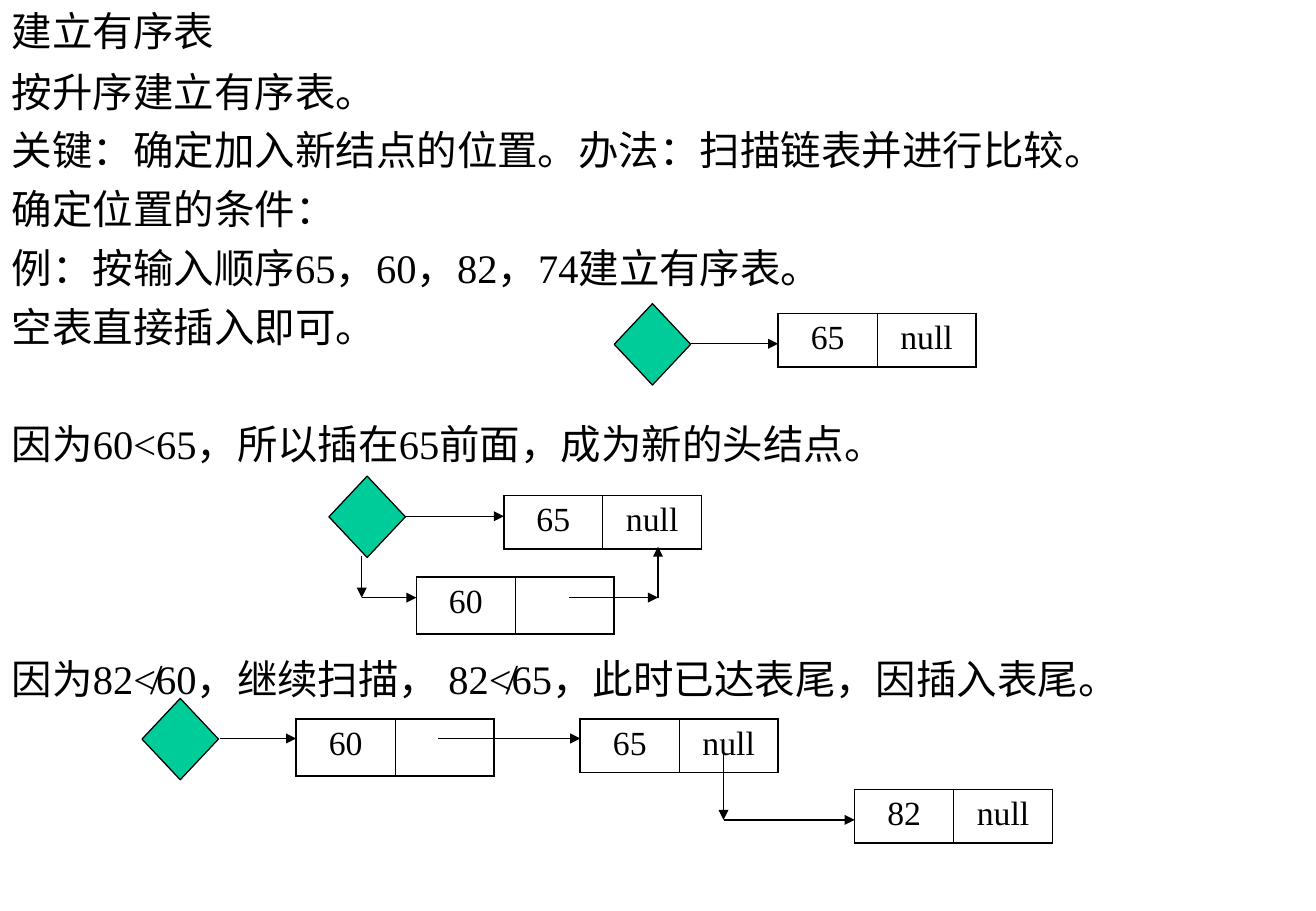
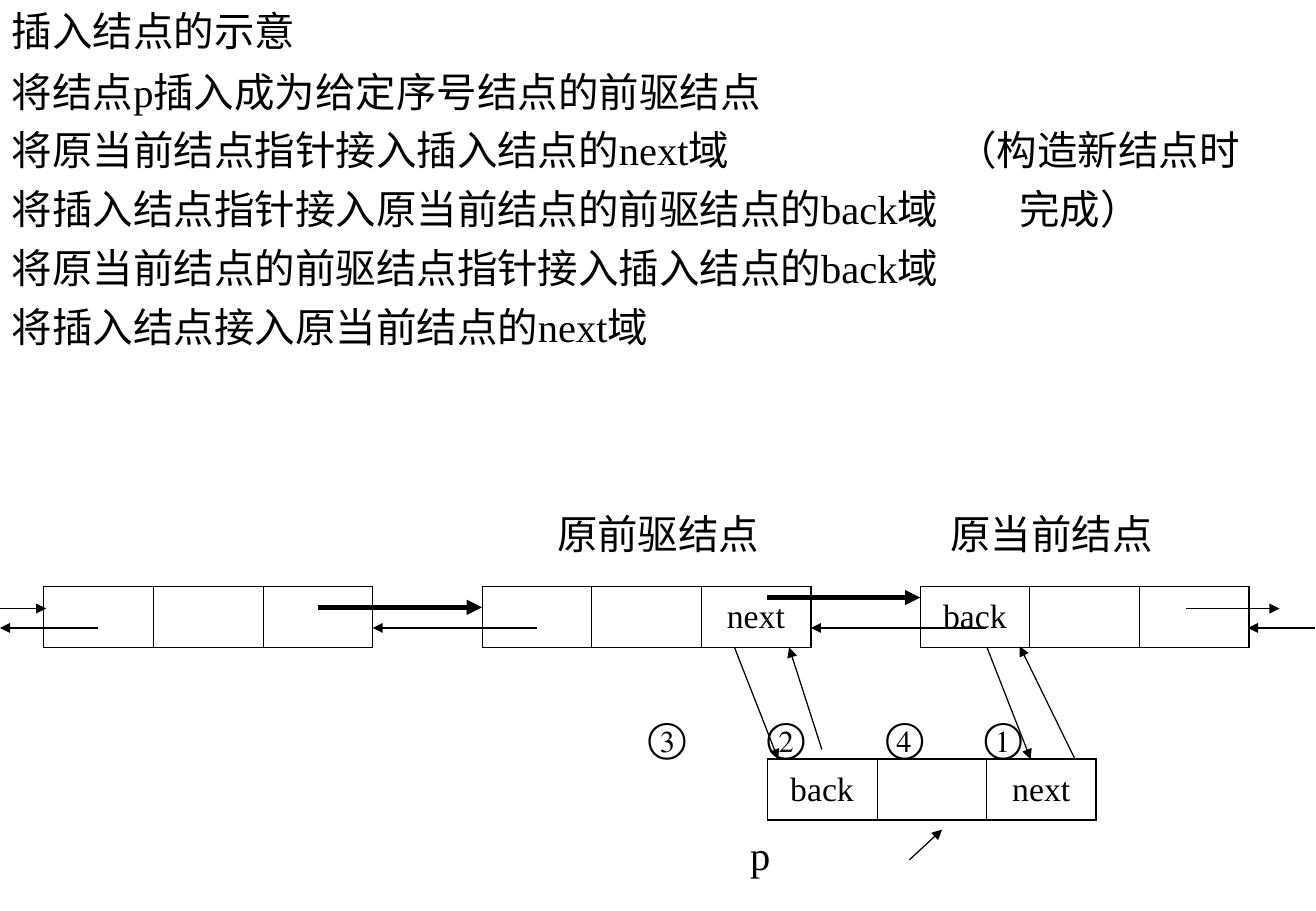
import lxml.etree
import pptx
import pptx.dml.color
import pptx.enum.lang
import pptx.enum.shapes
import pptx.enum.text
import pptx.oxml.ns
import pptx.util

Inches = pptx.util.Inches
Pt = pptx.util.Pt
qn = pptx.oxml.ns.qn
ANCHOR = pptx.enum.text.MSO_ANCHOR


class Theme:
    ink = "000000"
    gem = "00CC99"
    font = "Times New Roman"
    body = 24
    cell = 20
    gap = 6
    thin = 0.75
    thick = 3
    edge = 1.08
    rule = 0.45


PITCH = 34.8 / 72
TOP = 0.5
GEM = (0.63, 0.67)

SORTED = {
    "title": "建立有序表",
    "blocks": [
        (0, 0, ["按升序建立有序表。",
                "关键：确定加入新结点的位置。办法：扫描链表并进行比较。",
                "确定位置的条件：",
                "例：按输入顺序65，60，82，74建立有序表。",
                "空表直接插入即可。"]),
        (0, 6, ["因为60<65，所以插在65前面，成为新的头结点。"]),
        (0, 10, ["因为82≮60，继续扫描， 82≮65，此时已达表尾，因插入表尾。"]),
    ],
    "labels": [],
    "gems": [(5.06, 2.5), (2.71, 3.92), (1.17, 5.75)],
    "nodes": [
        (6.41, 2.58, ["65", "null"]),
        (4.15, 4.08, ["65", "null"]),
        (3.43, 4.75, ["60", ""]),
        (2.44, 5.92, ["60", ""]),
        (4.78, 5.92, ["65", "null"]),
        (7.04, 6.5, ["82", "null"]),
    ],
    "look": {"wide": 0.815, "high": 0.44, "blank": 0.47,
             "left": Theme.edge, "anchor": ANCHOR.TOP},
    "thin": [
        [(5.69, 2.83), (6.41, 2.83)],
        [(3.34, 4.25), (4.15, 4.25)],
        [(2.98, 4.58), (2.98, 4.92), (3.43, 4.92)],
        [(4.69, 4.92), (5.42, 4.92), (5.42, 4.5)],
        [(1.81, 6.08), (2.44, 6.08)],
        [(3.61, 6.08), (4.78, 6.08)],
        [(5.96, 6.08), (5.96, 6.75), (7.04, 6.75)],
    ],
    "thick": [],
}

INSERT = {
    "title": "插入结点的示意",
    "blocks": [
        (0, 0, ["将结点p插入成为给定序号结点的前驱结点",
                "将原当前结点指针接入插入结点的next域",
                "将插入结点指针接入原当前结点的前驱结点的back域",
                "将原当前结点的前驱结点指针接入插入结点的back域",
                "将插入结点接入原当前结点的next域"]),
        (7.78, 1, ["（构造新结点时"]),
        (8.3, 2, ["完成）"]),
        (5.24, 11, ["③"]),
        (6.22, 11, ["②"]),
        (7.2, 11, ["④"]),
        (8.01, 11, ["①"]),
        (6.08, 13, ["p"]),
    ],
    "labels": [(4.49, 4.14, "原前驱结点"), (7.73, 4.14, "原当前结点")],
    "gems": [],
    "nodes": [
        (0.36, 4.83, ["", "", ""]),
        (3.97, 4.83, ["", "", "next"]),
        (7.58, 4.83, ["back", "", ""]),
        (6.32, 6.25, ["back", "", "next"]),
    ],
    "look": {"wide": 0.903, "high": 0.5, "blank": 0.5,
             "left": Theme.rule, "anchor": ANCHOR.MIDDLE},
    "thin": [
        [(4.42, 5.17), (3.07, 5.17)],
        [(8.12, 5.17), (6.68, 5.17)],
        [(7.49, 7.08), (7.76, 6.83)],
        [(6.77, 6.17), (6.5, 5.33)],
        [(6.05, 5.33), (6.41, 6.25)],
        [(8.85, 6.24), (8.4, 5.32)],
        [(8.13, 5.33), (8.49, 6.25)],
        [(0, 5.01), (0.38, 5.01)],
        [(0.81, 5.17), (0, 5.17)],
        [(9.77, 5.01), (10.54, 5.01)],
        [(10.83, 5.17), (10.28, 5.17)],
    ],
    "thick": [[(2.62, 5), (3.97, 5)], [(6.32, 4.92), (7.58, 4.92)]],
}


def tint(code):
    return pptx.dml.color.RGBColor.from_string(code)


def write(para, text, size):
    run = para.add_run()
    run.text = text
    run.font.size = Pt(size)
    run.font.name = Theme.font
    run.font.color.rgb = tint(Theme.ink)
    run.font.language_id = pptx.enum.lang.MSO_LANGUAGE_ID.SIMPLIFIED_CHINESE


def add_text(slide, left, top, lines, anchor=ANCHOR.TOP):
    high = 0.1 + PITCH * len(lines) - Theme.gap / 72
    box = slide.shapes.add_textbox(
        Inches(left), Inches(top), Inches(10.56 - left), Inches(high))
    frame = box.text_frame
    frame.word_wrap = True
    frame.vertical_anchor = anchor
    for i, line in enumerate(lines):
        para = frame.paragraphs[0] if i == 0 else frame.add_paragraph()
        if i:
            para.space_before = Pt(Theme.gap)
        write(para, line, Theme.body)


def add_gem(slide, left, top):
    gem = slide.shapes.add_shape(
        pptx.enum.shapes.MSO_SHAPE.DIAMOND,
        Inches(left), Inches(top), *map(Inches, GEM))
    gem.shadow.inherit = False
    gem.fill.solid()
    gem.fill.fore_color.rgb = tint(Theme.gem)
    gem.line.color.rgb = tint(Theme.ink)
    gem.line.width = Pt(Theme.thin)


def add_edge(cell, side, width):
    props = cell._tc.get_or_add_tcPr()
    line = lxml.etree.SubElement(props, qn("a:ln" + side), w=str(Pt(width)))
    fill = lxml.etree.SubElement(line, qn("a:solidFill"))
    lxml.etree.SubElement(fill, qn("a:srgbClr"), val=Theme.ink)


def add_node(slide, left, top, words, look):
    count = len(words)
    wide = look["wide"]
    high = look["high"] if all(words) else look["blank"]
    table = slide.shapes.add_table(
        1, count, Inches(left), Inches(top),
        Inches(wide * count), Inches(high)).table
    table.first_row = False
    table.horz_banding = False
    for i, word in enumerate(words):
        table.columns[i].width = Inches(wide)
        cell = table.cell(0, i)
        add_edge(cell, "L", Theme.rule if i else look["left"])
        add_edge(cell, "R", Theme.edge if i == count - 1 else Theme.rule)
        add_edge(cell, "T", Theme.edge)
        add_edge(cell, "B", Theme.edge)
        cell.fill.background()
        cell.vertical_anchor = look["anchor"]
        if word:
            para = cell.text_frame.paragraphs[0]
            para.alignment = pptx.enum.text.PP_ALIGN.CENTER
            write(para, word, Theme.cell)


def add_arrow(slide, start, end, width):
    arrow = slide.shapes.add_connector(
        pptx.enum.shapes.MSO_CONNECTOR.STRAIGHT,
        *map(Inches, start + end))
    arrow.line.color.rgb = tint(Theme.ink)
    arrow.line.width = Pt(width)
    line = arrow.line._get_or_add_ln()
    lxml.etree.SubElement(line, qn("a:tailEnd"), type="triangle")
    lxml.etree.SubElement(arrow._element.spPr, qn("a:effectLst"))


def add_slide(deck, page):
    slide = deck.slides.add_slide(deck.slide_layouts[6])
    add_text(slide, 0, 0, [page["title"]], ANCHOR.MIDDLE)
    for left, row, lines in page["blocks"]:
        add_text(slide, left, TOP + PITCH * row, lines)
    for left, top, label in page["labels"]:
        add_text(slide, left, top, [label])
    for spot in page["gems"]:
        add_gem(slide, *spot)
    for left, top, words in page["nodes"]:
        add_node(slide, left, top, words, page["look"])
    for kind, width in (("thin", Theme.thin), ("thick", Theme.thick)):
        for route in page[kind]:
            for start, end in zip(route, route[1:]):
                add_arrow(slide, start, end, width)


def main():
    deck = pptx.Presentation()
    deck.slide_width = Inches(10.84)
    deck.slide_height = Inches(7.5)
    for page in (SORTED, INSERT):
        add_slide(deck, page)
    deck.save("out.pptx")


if __name__ == "__main__":
    main()
